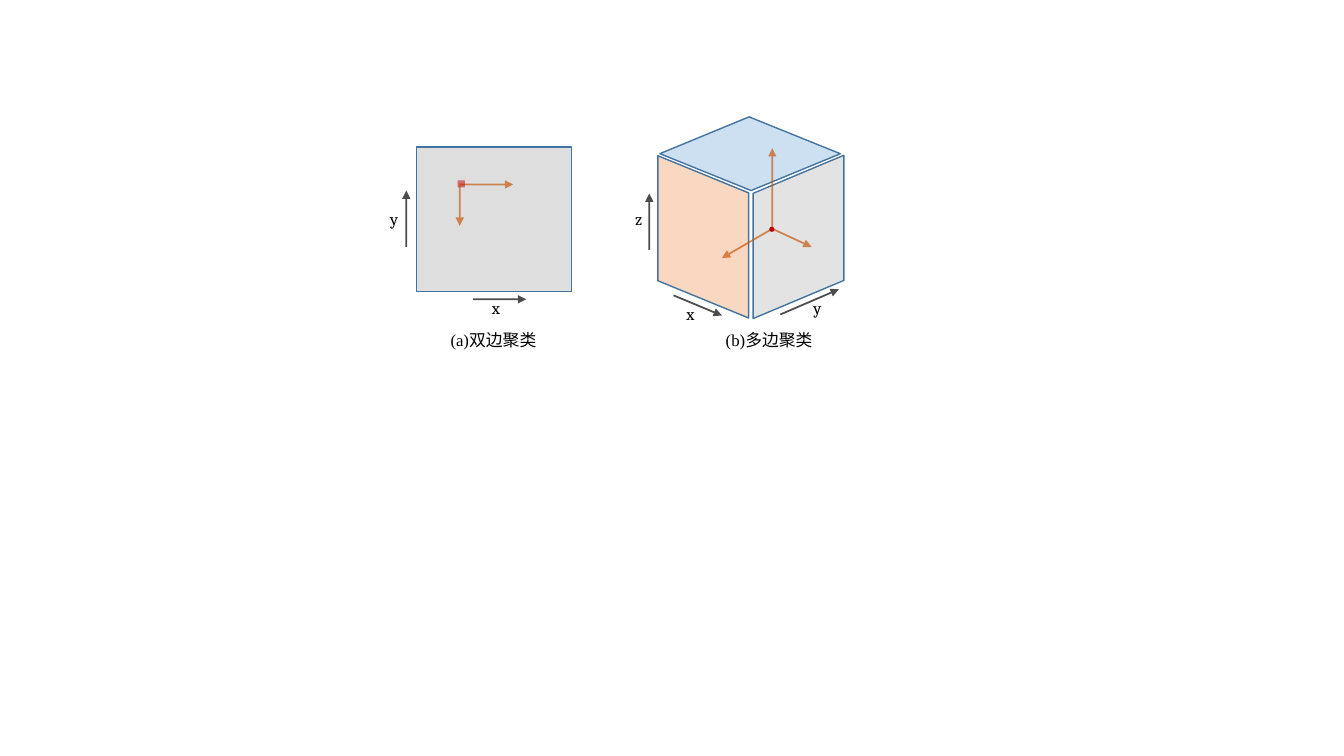
from dataclasses import dataclass

from lxml import etree
from pptx import Presentation
from pptx import util as u
from pptx.dml.color import RGBColor
from pptx.enum import shapes, text
from pptx.oxml.ns import qn

EMU_PER_PX = 9144  # 100 px to the inch
COLORS = {
    "right": "C9C9C9", "top": "9DC3E6", "left": "F4B183", "matrix": "BFBFBF",
    "edge": "43739E", "arrow": "C55A11", "origin": "C00000", "axis": "000000",
}
KINDS = shapes.MSO_SHAPE


@dataclass
class Area:
    kind: shapes.MSO_SHAPE
    box: tuple[int, int, int, int]
    fill: str
    opacity: int = 50
    outlined: bool = True
    rotation: int = 0
    skew: float | None = None
    flipped: bool = False


@dataclass
class Arrow:
    start: tuple[int, int]
    end: tuple[int, int]
    color: str = "arrow"


@dataclass
class Label:
    words: str
    left: int
    top: int
    width: int = 23
    font: str = "Cambria"


def px(value: int) -> u.Emu:
    return u.Emu(value * EMU_PER_PX)


def rgb(name: str) -> RGBColor:
    return RGBColor.from_string(COLORS[name])


def set_opacity(properties, percent: int) -> None:
    """Make the first colour in the shape properties translucent."""
    color = next(properties.iter(qn("a:srgbClr")))
    etree.SubElement(color, qn("a:alpha"), val=str(percent * 1000))


def draw_area(slide, area: Area) -> None:
    shape = slide.shapes.add_shape(area.kind, *map(px, area.box))
    shape.shadow.inherit = False
    shape.rotation = area.rotation
    if area.skew is not None:
        shape.adjustments[0] = area.skew
    properties = shape._element.spPr
    if area.flipped:
        properties.find(qn("a:xfrm")).set("flipH", "1")
    shape.fill.solid()
    shape.fill.fore_color.rgb = rgb(area.fill)
    if area.opacity < 100:
        set_opacity(properties, area.opacity)
    if area.outlined:
        shape.line.color.rgb = rgb("edge")
        shape.line.width = u.Pt(1)
    else:
        shape.line.fill.background()


def draw_arrow(slide, arrow: Arrow) -> None:
    connector = slide.shapes.add_connector(
        shapes.MSO_CONNECTOR.STRAIGHT, *map(px, arrow.start + arrow.end))
    connector.line.color.rgb = rgb(arrow.color)
    connector.line.width = u.Pt(1.25)
    properties = connector._element.spPr
    set_opacity(properties, 70)
    etree.SubElement(properties.find(qn("a:ln")), qn("a:tailEnd"), type="triangle")
    etree.SubElement(properties, qn("a:effectLst"))


def draw_label(slide, label: Label) -> None:
    box = slide.shapes.add_textbox(
        px(label.left), px(label.top), px(label.width), px(30))
    frame = box.text_frame
    frame.text = label.words
    frame.word_wrap = True
    frame.auto_size = text.MSO_AUTO_SIZE.SHAPE_TO_FIT_TEXT
    font = frame.paragraphs[0].runs[0].font
    font.name = label.font
    font.size = u.Pt(12)
    font.color.rgb = rgb("axis")


def caption(words: str, left: int) -> Label:
    return Label(words, left, 322, 154, "Times New Roman")


CUBE_CENTER = (766, 227)
ELEMENTS = [
    # Cube with its three directions
    Area(KINDS.PARALLELOGRAM, (711, 190, 162, 90), "right",
         rotation=270, skew=0.42, flipped=True),
    Area(KINDS.PARALLELOGRAM, (661, 119, 166, 67), "top", rotation=22, skew=1.02),
    Area(KINDS.PARALLELOGRAM, (617, 190, 161, 90), "left", rotation=90, skew=0.41),
    *(Arrow(CUBE_CENTER, end) for end in ((805, 245), (716, 256), (766, 147))),
    Area(KINDS.OVAL, (763, 225, 5, 5), "origin", opacity=100, outlined=False),
    # Matrix with its two directions
    Area(KINDS.FLOWCHART_PROCESS, (413, 146, 154, 143), "matrix"),
    Arrow((456, 183), (509, 183)),
    Area(KINDS.FLOWCHART_PROCESS, (454, 179, 7, 7), "origin", outlined=False),
    Arrow((456, 182), (456, 224)),
    # Captions
    caption("(a)双边聚类", 437),
    caption("(b)多边聚类", 710),
    # Axes of the matrix
    Arrow((469, 297), (522, 297), "axis"),
    Label("x", 478, 290),
    Arrow((403, 245), (403, 189), "axis"),
    Label("y", 377, 202),
    # Axes of the cube
    Arrow((668, 293), (716, 313), "axis"),
    Label("x", 671, 296),
    Arrow((774, 312), (832, 287), "axis"),
    Label("y", 797, 290),
    Arrow((644, 248), (644, 192), "axis"),
    Label("z", 620, 202),
]
DRAWERS = {Area: draw_area, Arrow: draw_arrow, Label: draw_label}


def main() -> None:
    presentation = Presentation()
    presentation.slide_width = px(1333)
    presentation.slide_height = px(750)
    slide = presentation.slides.add_slide(presentation.slide_layouts[6])
    for element in ELEMENTS:
        DRAWERS[type(element)](slide, element)
    presentation.save("out.pptx")


if __name__ == "__main__":
    main()
